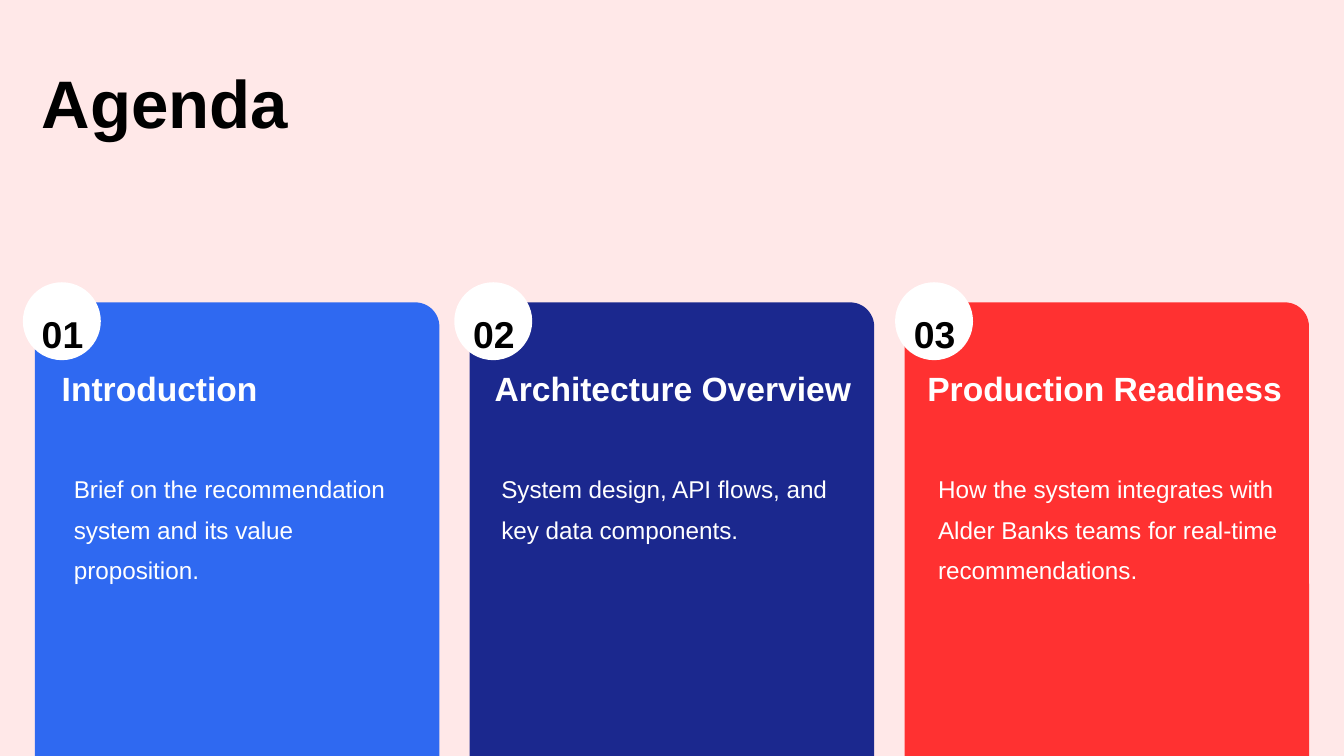
from pptx import Presentation
from pptx.dml.color import RGBColor
from pptx.enum.shapes import MSO_SHAPE
from pptx.enum.text import MSO_ANCHOR, MSO_AUTO_SIZE, PP_ALIGN
from pptx.util import Inches, Pt

ROUNDED, OVAL = MSO_SHAPE.ROUNDED_RECTANGLE, MSO_SHAPE.OVAL
LEFT, CENTER = PP_ALIGN.LEFT, PP_ALIGN.CENTER
TOP, FIXED_SIZE = MSO_ANCHOR.TOP, MSO_AUTO_SIZE.NONE

COLORS = {
    "background": "FFE8E8",
    "blue": "2F69F1",
    "navy": "1B288E",
    "red": "FF3131",
    "white": "FFFFFF",
    "black": "000000",
}
TITLE = "Agenda"
# Left edges of badge, heading and body are set per card.
CARDS = [
    {"heading": "Introduction", "color": "blue",
     "body": "Brief on the recommendation system and its value proposition.",
     "badge_x": 0.17, "heading_x": 0.46, "body_x": 0.55, "body_width": 2.47},
    {"heading": "Architecture Overview", "color": "navy",
     "body": "System design, API flows, and key data components.",
     "badge_x": 3.38, "heading_x": 3.68, "body_x": 3.73, "body_width": 2.55},
    {"heading": "Production Readiness", "color": "red",
     "body": "How the system integrates with Alder Banks teams for real-time "
             "recommendations.",
     "badge_x": 6.66, "heading_x": 6.9, "body_x": 6.98, "body_width": 2.55},
]
SLIDE_WIDTH = 10
SLIDE_HEIGHT = SLIDE_WIDTH * 9 / 16
CARD_LEFT, CARD_TOP, CARD_WIDTH, CARD_HEIGHT = 0.26, 2.25, 3.01, 3.93
LAST_CARD_LEFT = 6.73
CARD_STEP = (LAST_CARD_LEFT - CARD_LEFT) / (len(CARDS) - 1)
CORNER_RADIUS = 0.18
BADGE_TOP, BADGE_SIZE = 2.1, 0.58


def rgb(name):
    return RGBColor.from_string(COLORS[name])


def add_filled_shape(page, kind, color, left, top, width, height):
    shape = page.shapes.add_shape(
        kind, Inches(left), Inches(top), Inches(width), Inches(height))
    shape.shadow.inherit = False
    shape.fill.solid()
    shape.fill.fore_color.rgb = rgb(color)
    shape.line.fill.background()
    return shape


def write_text(box, text, left, top, width, height, *, size, color="white",
               bold=False, align=LEFT, spacing=1.15):
    box.left, box.top = Inches(left), Inches(top)
    box.width, box.height = Inches(width), Inches(height)
    frame = box.text_frame
    frame.word_wrap = True
    frame.auto_size = FIXED_SIZE
    frame.vertical_anchor = TOP
    frame.margin_left = frame.margin_right = 0
    frame.margin_top = frame.margin_bottom = 0
    para = frame.paragraphs[0]
    para.alignment = align
    para.line_spacing = spacing
    para.space_before = Pt(0)
    span = para.add_run()
    span.text = text
    span.font.name = "Arial"
    span.font.size = Pt(size)
    span.font.bold = bold
    span.font.color.rgb = rgb(color)


def add_text(page, *content_and_place, **text_format):
    box = page.shapes.add_textbox(0, 0, 0, 0)
    write_text(box, *content_and_place, **text_format)


def add_card(page, index, card):
    panel = add_filled_shape(page, ROUNDED, card["color"],
                             CARD_LEFT + index * CARD_STEP, CARD_TOP,
                             CARD_WIDTH, CARD_HEIGHT)
    panel.adjustments[0] = CORNER_RADIUS / CARD_WIDTH
    add_filled_shape(page, OVAL, "white", card["badge_x"], BADGE_TOP,
                     BADGE_SIZE, BADGE_SIZE)
    add_text(page, f"{index + 1:02}", card["badge_x"], 2.18, 0.59, 0.43,
             size=20, color="black", bold=True, align=CENTER, spacing=1.4)
    add_text(page, card["heading"], card["heading_x"], 2.69, 2.77, 0.3,
             size=18, bold=True)
    add_text(page, card["body"], card["body_x"], 3.44, card["body_width"],
             0.22, size=13, spacing=1.4)


def main():
    deck = Presentation()
    deck.slide_width = Inches(SLIDE_WIDTH)
    deck.slide_height = Inches(SLIDE_HEIGHT)
    title_only = deck.slide_layouts[5]
    page = deck.slides.add_slide(title_only)
    page.background.fill.solid()
    page.background.fill.fore_color.rgb = rgb("background")
    write_text(page.shapes.title, TITLE, 0.31, 0.37, 9.38, 0.61,
               size=36, color="black", bold=True)
    for index, card in enumerate(CARDS):
        add_card(page, index, card)
    deck.save("out.pptx")


if __name__ == "__main__":
    main()
